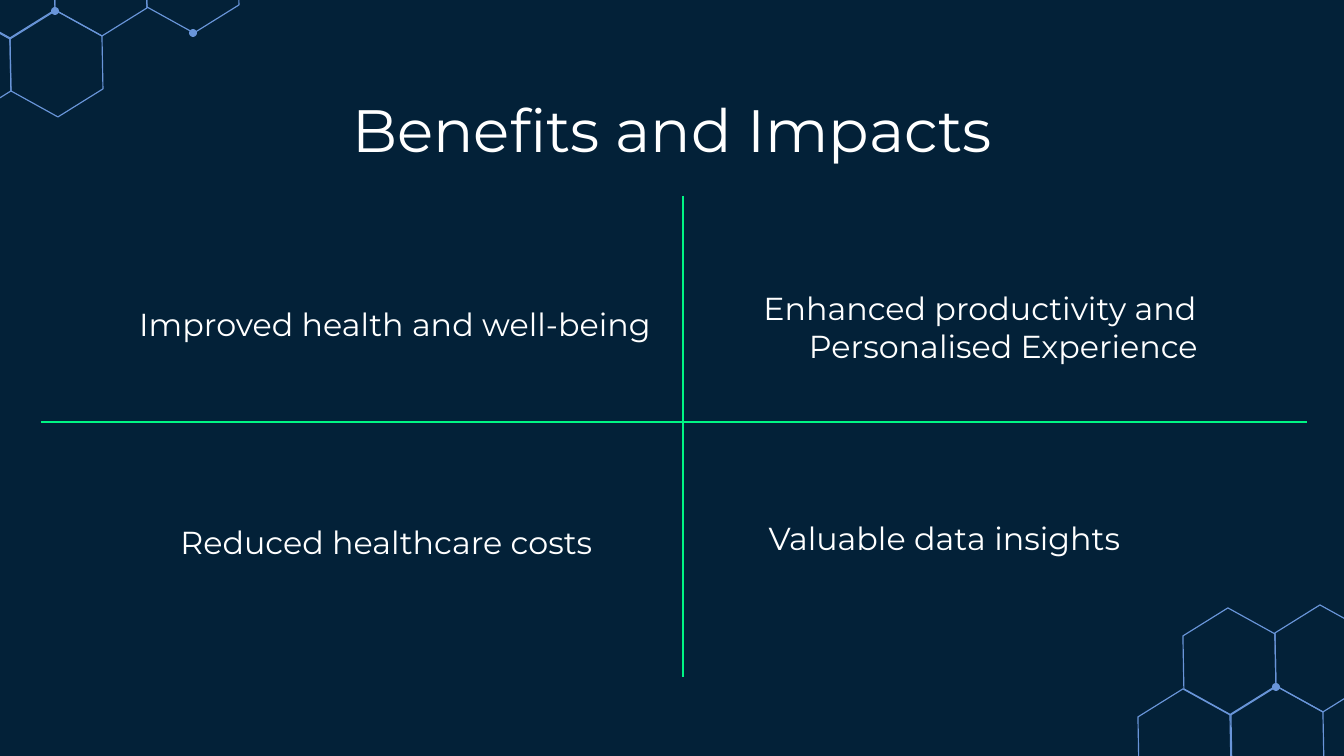
"""Build the Benefits and Impacts slide: four benefits in a cross of lines."""
from lxml import etree
from pptx import Presentation
from pptx import util as u
from pptx.dml.color import RGBColor
from pptx.enum import shapes, text
from pptx.oxml.ns import qn

PX = 9144000 / 1344
NAVY = RGBColor(0x03, 0x21, 0x38)
BLUE = RGBColor(0x69, 0x95, 0xD9)
GREEN = RGBColor(0x00, 0xF5, 0x84)
WHITE = RGBColor(0xFF, 0xFF, 0xFF)


def px(*lengths):
    return [u.Emu(round(length * PX)) for length in lengths]


def add_text(page, wording, place, size, anchor):
    box = page.shapes.add_textbox(*px(*place))
    frame = box.text_frame
    frame.word_wrap = True
    frame.vertical_anchor = anchor
    frame.margin_left = frame.margin_right = u.Inches(0.1)
    frame.margin_top = frame.margin_bottom = u.Inches(0.1)
    frame.text = wording
    para = frame.paragraphs[0]
    para.alignment = text.PP_ALIGN.CENTER
    span = para.runs[0]
    span.font.name = "Montserrat"
    span.font.size = u.Pt(size)
    span.font.color.rgb = WHITE
    return para


deck = Presentation()
deck.slide_width, deck.slide_height = px(1344, 756)
page = deck.slides.add_slide(deck.slide_layouts[6])
page.background.fill.solid()
page.background.fill.fore_color.rgb = NAVY

hexagon_corners = [(-1, -53), (-48, -79), (-93, -51), (-92, 2), (-45, 28)]
hexagon_starts = [
    (55, 11), (147, 8), (239, 5), (11, 91), (103, 89),
    (1276, 687), (1368, 684), (1231, 768), (1324, 765),
]
for x, y in hexagon_starts:
    builder = page.shapes.build_freeform(x, y, scale=PX)
    builder.add_line_segments([(x + dx, y + dy) for dx, dy in hexagon_corners], close=True)
    hexagon = builder.convert_to_shape()
    hexagon.shadow.inherit = False
    hexagon.fill.background()
    hexagon.line.color.rgb = BLUE
    hexagon.line.width = u.Pt(0.61)

for x, y in [(55, 11), (193, 33), (1276, 687)]:
    dot = page.shapes.add_shape(shapes.MSO_SHAPE.OVAL, *px(x - 4, y - 4, 8, 8))
    dot.shadow.inherit = False
    dot.fill.solid()
    dot.fill.fore_color.rgb = BLUE
    dot.line.fill.background()

add_text(page, "Benefits and Impacts", (106, 79, 1133, 85), 32, text.MSO_ANCHOR.TOP)

benefits = [
    ("Improved health and well-being", (98, 289, 574, 67)),
    ("Reduced healthcare costs", (136, 507, 481, 67)),
    ("Enhanced productivity and Personalised Experience", (683, 311, 574, 67)),
    ("Valuable data insights", (704, 503, 461, 67)),
]
for wording, place in benefits:
    para = add_text(page, wording, place, 17, text.MSO_ANCHOR.BOTTOM)
    properties = para._p.get_or_add_pPr()
    properties.set("marL", str(u.Inches(0.5)))
    properties.set("indent", str(u.Inches(-0.35)))

for ends in [(683, 196, 683, 677), (41, 422, 1307, 422)]:
    divider = page.shapes.add_connector(shapes.MSO_CONNECTOR.STRAIGHT, *px(*ends))
    divider.line.color.rgb = GREEN
    divider.line.width = u.Pt(0.75)
    etree.SubElement(divider._element.spPr, qn("a:effectLst"))

deck.save("out.pptx")
